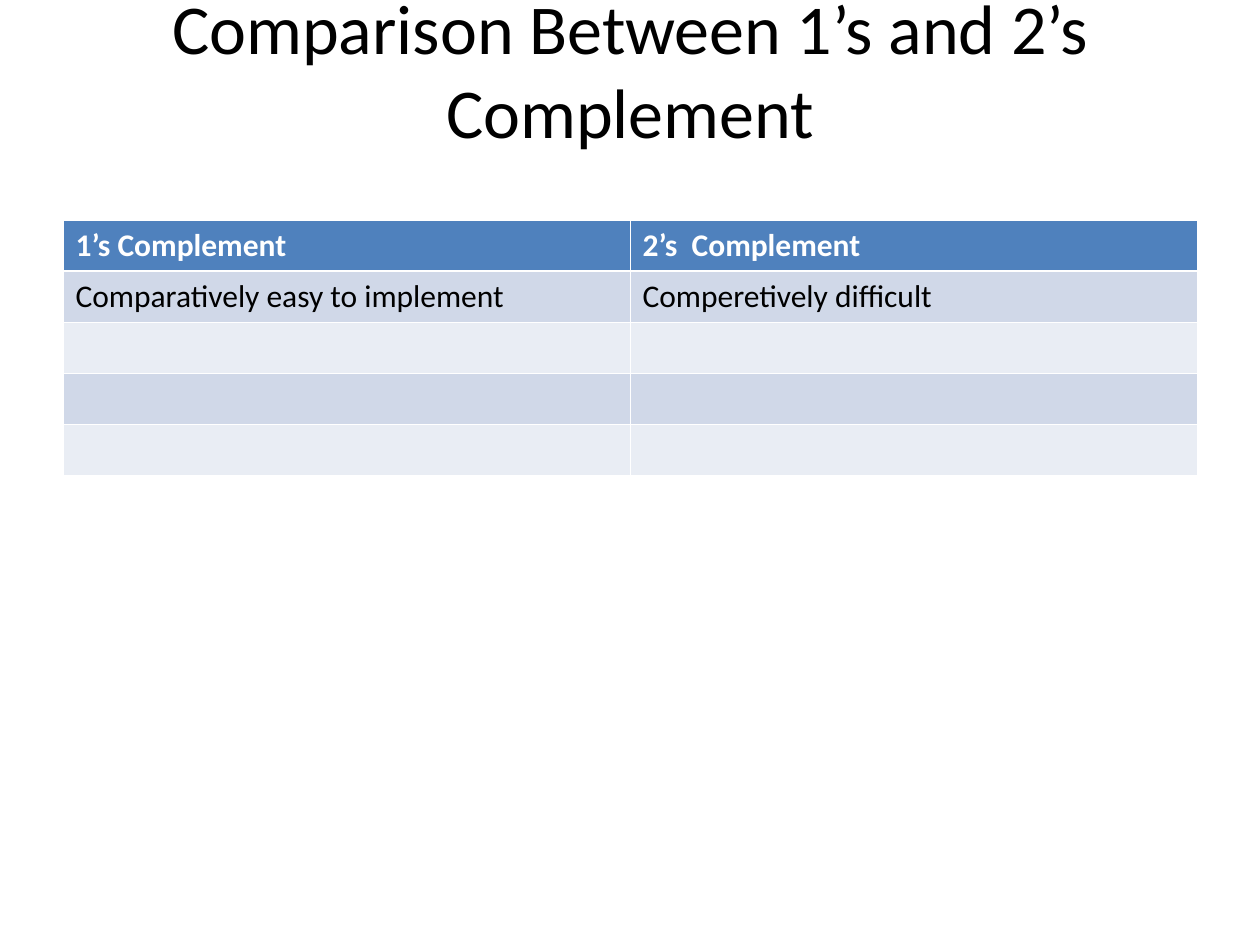
from dataclasses import dataclass

from lxml import etree
from pptx import Presentation
from pptx import util as u
from pptx.dml.color import RGBColor
from pptx.enum import text
from pptx.oxml.ns import qn

PX_PER_INCH = 126
FONT = "Calibri"
WHITE, BLACK = "FFFFFF", "000000"
HEADER_BLUE = "4F81BD"
BANDS = ("D0D8E8", "E9EDF4")
THIN, THICK = 0.45, 1.47


@dataclass
class RowStyle:
    fill: str
    ink: str
    bold: bool
    top: float
    bottom: float


def px(length: int) -> int:
    return round(length * u.Inches(1) / PX_PER_INCH)


def color(value: str) -> RGBColor:
    return RGBColor.from_string(value)


def style_text(frame, size: int, ink: str, bold: bool = False) -> None:
    for paragraph in frame.paragraphs:
        font = paragraph.font
        font.name, font.size, font.bold = FONT, u.Pt(size), bold
        font.color.rgb = color(ink)
        for run in paragraph.runs:
            run.font.name, run.font.size, run.font.bold = FONT, u.Pt(size), bold
            run.font.color.rgb = color(ink)


def row_style(index: int) -> RowStyle:
    if index == 0:
        return RowStyle(HEADER_BLUE, WHITE, True, THIN, THICK)
    top = THICK if index == 1 else THIN
    return RowStyle(BANDS[(index - 1) % 2], BLACK, False, top, THIN)


def add_borders(cell, style: RowStyle) -> None:
    properties = cell._tc.get_or_add_tcPr()
    widths = {"a:lnL": THIN, "a:lnR": THIN, "a:lnT": style.top, "a:lnB": style.bottom}
    # Border lines come before the fill in the cell properties
    for position, (tag, width) in enumerate(widths.items()):
        line = etree.Element(qn(tag), w=str(u.Pt(width)))
        solid = etree.SubElement(line, qn("a:solidFill"))
        etree.SubElement(solid, qn("a:srgbClr"), val=WHITE)
        properties.insert(position, line)


def fill_cell(cell, wording: str, style: RowStyle) -> None:
    cell.text_frame.text = wording
    cell.margin_left = cell.margin_right = u.Inches(0.1)
    cell.margin_top = cell.margin_bottom = u.Inches(0.05)
    cell.fill.solid()
    cell.fill.fore_color.rgb = color(style.fill)
    style_text(cell.text_frame, 18, style.ink, style.bold)
    add_borders(cell, style)


def main() -> None:
    deck = Presentation()
    deck.slide_width, deck.slide_height = px(1260), px(945)
    slide = deck.slides.add_slide(deck.slide_layouts[5])

    # Title
    heading = slide.shapes.title
    heading.left, heading.top, heading.width, heading.height = 0, 0, px(1260), px(136)
    frame = heading.text_frame
    frame.text = "Comparison Between 1’s and 2’s Complement"
    frame.word_wrap = True
    frame.auto_size = text.MSO_AUTO_SIZE.NONE
    frame.vertical_anchor = text.MSO_ANCHOR.MIDDLE
    frame.paragraphs[0].alignment = text.PP_ALIGN.CENTER
    style_text(frame, 40, BLACK)

    # Comparison table, with three rows still open
    comparison = [
        ("1’s Complement", "2’s  Complement"),
        ("Comparatively easy to implement", "Comperetively difficult"),
        *[("", "")] * 3,
    ]
    table = slide.shapes.add_table(
        len(comparison), 2, px(63), px(220), px(1134), px(51 * len(comparison))
    ).table
    for row, wordings in enumerate(comparison):
        for column, wording in enumerate(wordings):
            fill_cell(table.cell(row, column), wording, row_style(row))

    deck.save("out.pptx")


if __name__ == "__main__":
    main()
